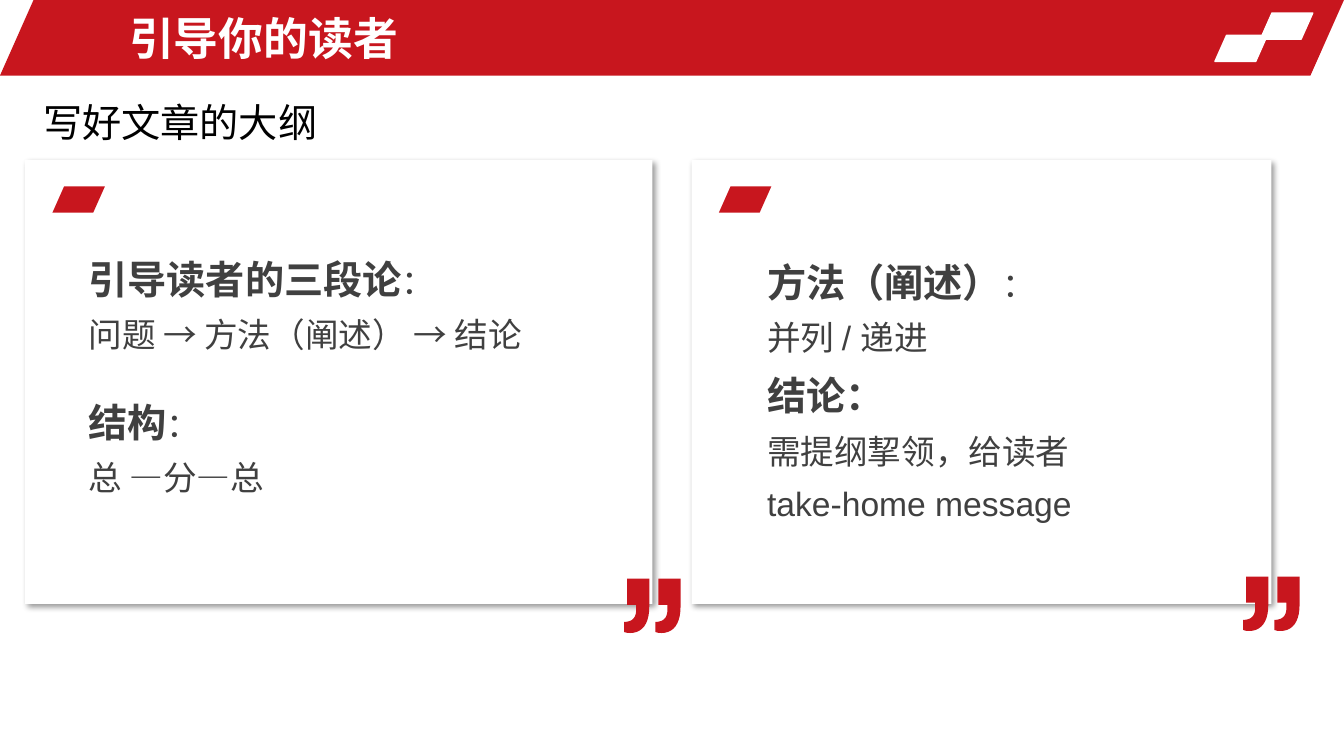
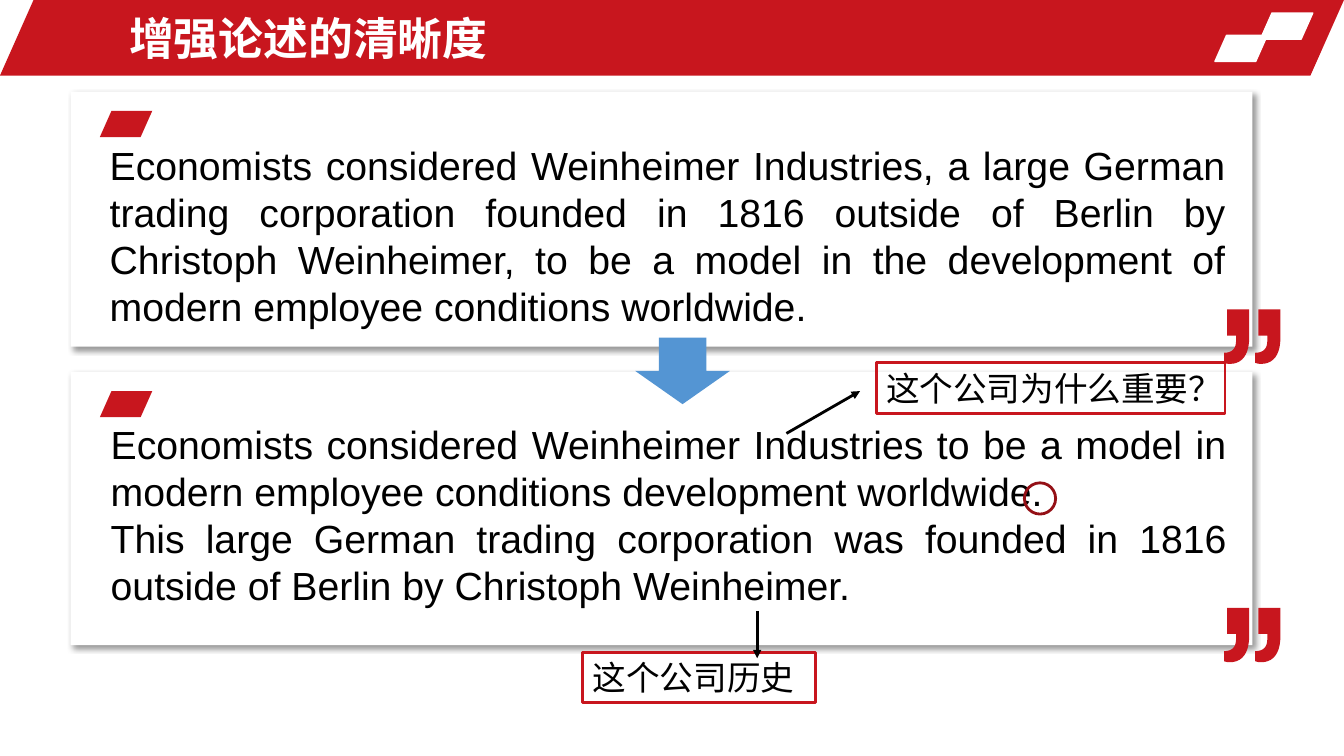
from dataclasses import dataclass
from typing import Optional

from lxml.etree import SubElement
from pptx import Presentation
from pptx.dml.color import RGBColor
from pptx.enum.lang import MSO_LANGUAGE_ID
from pptx.enum.shapes import MSO_CONNECTOR, MSO_SHAPE, PP_PLACEHOLDER
from pptx.enum.text import MSO_ANCHOR, MSO_AUTO_SIZE, PP_ALIGN
from pptx.oxml.ns import qn
from pptx.shapes.autoshape import Shape
from pptx.slide import Slide, SlideLayout
from pptx.text.text import TextFrame
from pptx.util import Inches, Pt


@dataclass(frozen=True)
class Theme:
    red: RGBColor = RGBColor.from_string("C8161E")
    dark_red: RGBColor = RGBColor.from_string("941016")
    blue: RGBColor = RGBColor.from_string("5495D3")
    white: RGBColor = RGBColor.from_string("FFFFFF")
    black: RGBColor = RGBColor.from_string("000000")
    gray: RGBColor = RGBColor.from_string("404040")
    font: str = "Arial"
    title_size: int = 32
    heading_size: int = 28
    body_size: int = 24
    outline: int = 2
    slant: float = 0.444


THEME = Theme()


@dataclass(frozen=True)
class Box:
    left: float
    top: float
    width: float
    height: float

    def lengths(self) -> tuple:
        return tuple(Inches(v) for v in (self.left, self.top, self.width, self.height))


@dataclass(frozen=True)
class Card:
    box: Box
    tab_left: float
    tab_top: float
    quote_rise: float


@dataclass(frozen=True)
class Span:
    text: str
    size: int = THEME.body_size
    bold: bool = False
    color: RGBColor = THEME.black


@dataclass(frozen=True)
class TextBlock:
    box: Box
    paragraphs: list[list[Span]]
    line_spacing: Optional[float] = None
    alignment: PP_ALIGN = PP_ALIGN.LEFT
    wrap: bool = True


@dataclass(frozen=True)
class Arrow:
    start: tuple[float, float]
    end: tuple[float, float]


TITLE_BOX = Box(1.18, 0.05, 7.74, 0.65)
TAB_WIDTH, TAB_HEIGHT = 0.52, 0.26
QUOTE_OVERLAP = 0.28
QUOTE_STEP = 0.31


# Text
def write_text(frame: TextFrame, block: TextBlock) -> None:
    frame.word_wrap = block.wrap
    for index, spans in enumerate(block.paragraphs):
        paragraph = frame.paragraphs[0] if index == 0 else frame.add_paragraph()
        paragraph.alignment = block.alignment
        if block.line_spacing:
            paragraph.line_spacing = block.line_spacing
        for span in spans:
            run = paragraph.add_run()
            run.text = span.text
            run.font.name = THEME.font
            run.font.size = Pt(span.size)
            run.font.bold = span.bold
            run.font.color.rgb = span.color
            run.font.language_id = (
                MSO_LANGUAGE_ID.ENGLISH_US if span.text.isascii()
                else MSO_LANGUAGE_ID.SIMPLIFIED_CHINESE
            )


def add_text(slide: Slide, block: TextBlock) -> None:
    text_box = slide.shapes.add_textbox(*block.box.lengths())
    write_text(text_box.text_frame, block)
    text_box.text_frame.auto_size = MSO_AUTO_SIZE.SHAPE_TO_FIT_TEXT


def heading(text: str) -> Span:
    return Span(text, THEME.heading_size, True, THEME.gray)


def body(text: str) -> Span:
    return Span(text, color=THEME.gray)


# Shapes
def add_shape(slide: Slide, kind: MSO_SHAPE, box: Box, fill: Optional[RGBColor] = None,
              line: Optional[RGBColor] = None, line_width: float = THEME.outline) -> Shape:
    shape = slide.shapes.add_shape(kind, *box.lengths())
    shape.shadow.inherit = False
    if fill is None:
        shape.fill.background()
    else:
        shape.fill.solid()
        shape.fill.fore_color.rgb = fill
    if line is None:
        shape.line.fill.background()
    else:
        shape.line.color.rgb = line
        shape.line.width = Pt(line_width)
    return shape


def add_slanted(slide: Slide, box: Box, fill: RGBColor,
                line: Optional[RGBColor] = None) -> Shape:
    shape = add_shape(slide, MSO_SHAPE.PARALLELOGRAM, box, fill, line, 1)
    shape.adjustments[0] = THEME.slant
    return shape


def add_drop_shadow(shape: Shape) -> None:
    effects = shape._element.spPr.find(qn("a:effectLst"))
    shadow = SubElement(effects, qn("a:outerShdw"), blurRad=str(Pt(4)), dist=str(Pt(3)),
                        dir=str(45 * 60000), algn="tl", rotWithShape="0")
    color = SubElement(shadow, qn("a:srgbClr"), val=str(THEME.black))
    SubElement(color, qn("a:alpha"), val="40000")


def curve(*controls: tuple[float, float], steps: int = 10) -> list[tuple[float, float]]:
    """Points along a cubic curve, without its first point."""
    points = []
    for step in range(1, steps + 1):
        t = step / steps
        weights = ((1 - t) ** 3, 3 * t * (1 - t) ** 2, 3 * t * t * (1 - t), t ** 3)
        points.append(tuple(sum(w * c[axis] for w, c in zip(weights, controls))
                            for axis in (0, 1)))
    return points


QUOTE_OUTLINE = [
    (0.03, 0), (0.03, 0.26), (0.12, 0.26), (0.12, 0.31),
    *curve((0.12, 0.31), (0.12, 0.39), (0.08, 0.43), (0, 0.43)),
    (0, 0.53),
    *curve((0, 0.53), (0.03, 0.54), (0.04, 0.54), (0.06, 0.54)),
    *curve((0.06, 0.54), (0.18, 0.54), (0.25, 0.45), (0.25, 0.28)),
    (0.25, 0),
]


def add_quote_mark(slide: Slide, left: float, top: float) -> None:
    marks = [[(Inches(left + shift + x), Inches(top + y)) for x, y in QUOTE_OUTLINE]
             for shift in (0, QUOTE_STEP)]
    builder = slide.shapes.build_freeform(*marks[0][0])
    builder.add_line_segments(marks[0][1:])
    builder.move_to(*marks[1][0])
    builder.add_line_segments(marks[1][1:])
    quote = builder.convert_to_shape()
    quote.shadow.inherit = False
    quote.fill.solid()
    quote.fill.fore_color.rgb = THEME.red
    quote.line.fill.background()


def add_card(slide: Slide, card: Card) -> None:
    box = card.box
    panel = add_shape(slide, MSO_SHAPE.ROUNDED_RECTANGLE, box, THEME.white)
    panel.adjustments[0] = 0
    add_drop_shadow(panel)
    add_slanted(slide, Box(box.left + card.tab_left, box.top + card.tab_top,
                           TAB_WIDTH, TAB_HEIGHT), THEME.red)
    add_quote_mark(slide, box.left + box.width - QUOTE_OVERLAP,
                   box.top + box.height - card.quote_rise)


def add_label(slide: Slide, box: Box, text: str) -> None:
    label = add_shape(slide, MSO_SHAPE.RECTANGLE, box, line=THEME.red)
    label.text_frame.vertical_anchor = MSO_ANCHOR.TOP
    write_text(label.text_frame, TextBlock(box, [[Span(text)]]))
    label.text_frame.auto_size = MSO_AUTO_SIZE.SHAPE_TO_FIT_TEXT


def add_arrow(slide: Slide, arrow: Arrow) -> None:
    ends = [Inches(value) for value in (*arrow.start, *arrow.end)]
    connector = slide.shapes.add_connector(MSO_CONNECTOR.STRAIGHT, *ends)
    connector.line.color.rgb = THEME.black
    connector.line.width = Pt(THEME.outline)
    SubElement(connector.line._get_or_add_ln(), qn("a:tailEnd"), type="triangle")
    SubElement(connector._element.spPr, qn("a:effectLst"))


# Shared header, kept on the layout
def prepare_layout(layout: SlideLayout, slide: Slide) -> None:
    for placeholder in list(layout.placeholders):
        if placeholder.placeholder_format.type == PP_PLACEHOLDER.TITLE:
            (placeholder.left, placeholder.top,
             placeholder.width, placeholder.height) = TITLE_BOX.lengths()
        else:
            placeholder._element.getparent().remove(placeholder._element)
    header = [add_slanted(slide, Box(0, 0, 13.33, 0.75), THEME.red)]
    for left, top in ((12.5, 0.13), (12.05, 0.35)):
        header.append(add_slanted(slide, Box(left, top, TAB_WIDTH, TAB_HEIGHT),
                                  THEME.white, THEME.white))
    for index, shape in enumerate(header):
        shape._element.nvSpPr.cNvPr.set("id", str(101 + index))
        layout.shapes._spTree.insert(2 + index, shape._element)


def set_title(slide: Slide, text: str) -> None:
    frame = slide.shapes.title.text_frame
    frame.vertical_anchor = MSO_ANCHOR.MIDDLE
    frame.auto_size = MSO_AUTO_SIZE.NONE
    write_text(frame, TextBlock(
        TITLE_BOX, [[Span(text, THEME.title_size, True, THEME.white)]]))


# Slide 1: outline of an article
def build_outline(slide: Slide) -> None:
    set_title(slide, "引导你的读者")
    add_card(slide, Card(Box(0.25, 1.59, 6.22, 4.4), 0.27, 0.26, 0.25))
    add_card(slide, Card(Box(6.86, 1.59, 5.75, 4.4), 0.27, 0.26, 0.27))
    blocks = [
        TextBlock(Box(0.33, 0.93, 2.95, 0.57),
                  [[Span("写好文章的大纲", THEME.heading_size)]], wrap=False),
        TextBlock(Box(0.78, 2.34, 5.3, 1.18), [
            [heading("引导读者的三段论"), body("：")],
            [body("问题 → 方法（阐述） → 结论")]], 1.3),
        TextBlock(Box(0.78, 3.76, 2.05, 1.19), [
            [heading("结构"), body("：")],
            [body("总 —分—总")]], 1.3),
        TextBlock(Box(7.51, 2.37, 4.61, 2.85), [
            [heading("方法（阐述）"), body("：")],
            [body("并列 / 递进")],
            [heading("结论：")],
            [body("需提纲挈领，给读者")],
            [body("take-home message")]], 1.3),
    ]
    for block in blocks:
        add_text(slide, block)


# Slide 2: a sentence before and after rewriting
def build_clarity(slide: Slide) -> None:
    set_title(slide, "增强论述的清晰度")
    versions = [
        (Box(0.7, 0.91, 11.72, 2.53), Box(0.99, 1.35, 11.26, 1.99), [
            "Economists considered Weinheimer Industries, a large German trading "
            "corporation founded in 1816 outside of Berlin by Christoph Weinheimer, "
            "to be a model in the development of modern employee conditions worldwide."]),
        (Box(0.7, 3.69, 11.72, 2.71), Box(1, 4.12, 11.26, 1.99), [
            "Economists considered Weinheimer Industries to be a model in modern "
            "employee conditions development worldwide.",
            "This large German trading corporation was founded in 1816 outside of "
            "Berlin by Christoph Weinheimer."]),
    ]
    for card_box, text_box, sentences in versions:
        add_card(slide, Card(card_box, 0.29, 0.19, 0.37))
        add_text(slide, TextBlock(
            text_box, [[Span(sentence, THEME.heading_size)] for sentence in sentences],
            alignment=PP_ALIGN.JUSTIFY))
    add_shape(slide, MSO_SHAPE.DOWN_ARROW, Box(6.3, 3.35, 0.94, 0.66), THEME.blue)
    add_shape(slide, MSO_SHAPE.OVAL, Box(10.16, 4.79, 0.31, 0.31), line=THEME.dark_red)
    add_label(slide, Box(8.69, 3.6, 3.46, 0.5), "这个公司为什么重要？")
    add_label(slide, Box(5.78, 6.47, 2.31, 0.5), "这个公司历史")
    add_arrow(slide, Arrow((7.8, 4.3), (8.53, 3.88)))
    add_arrow(slide, Arrow((7.51, 6.06), (7.51, 6.53)))


def main() -> None:
    presentation = Presentation()
    presentation.slide_width = Inches(13.33)
    presentation.slide_height = Inches(7.5)
    layout = presentation.slide_layouts.get_by_name("Title Only")
    outline, clarity = (presentation.slides.add_slide(layout) for _ in range(2))
    prepare_layout(layout, outline)
    build_outline(outline)
    build_clarity(clarity)
    presentation.save("out.pptx")


if __name__ == "__main__":
    main()
